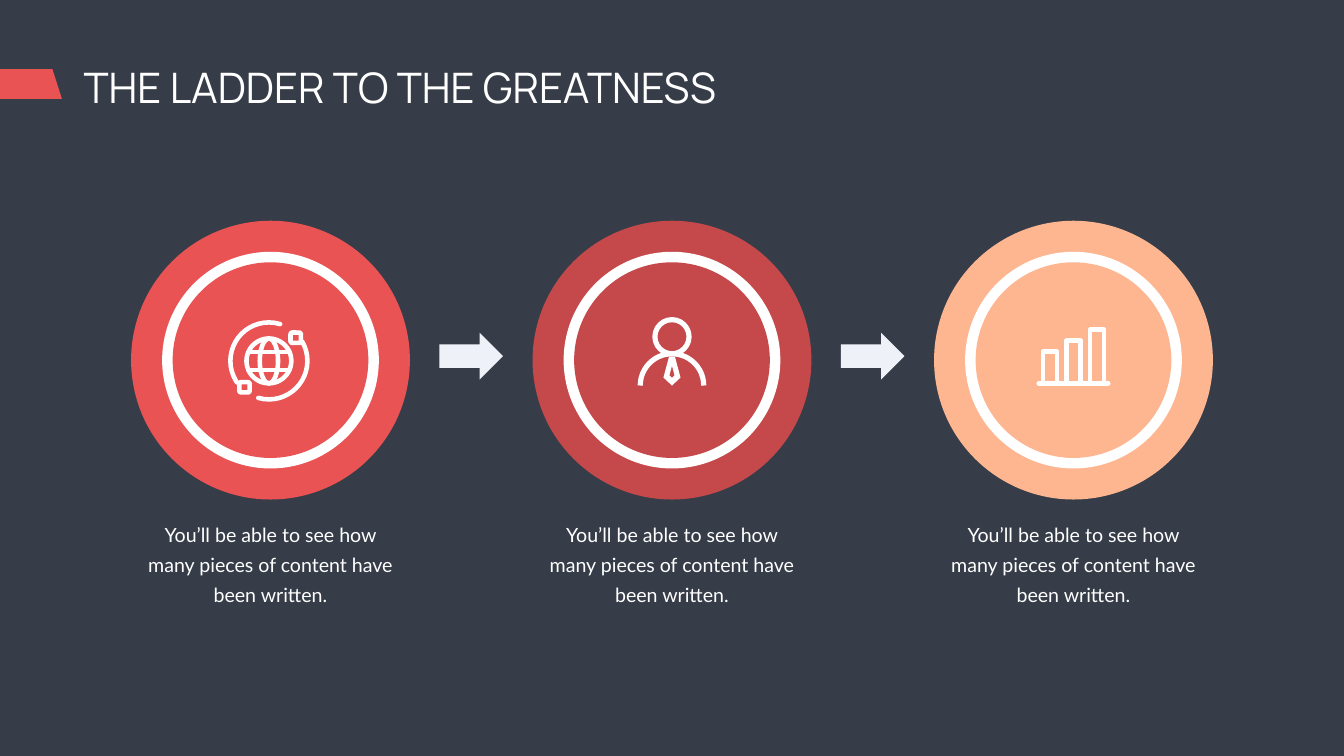
from dataclasses import dataclass

from lxml import etree
from pptx import Presentation
from pptx.dml.color import RGBColor
from pptx.enum.shapes import MSO_CONNECTOR as Connector, MSO_SHAPE as Shape
from pptx.enum.text import MSO_ANCHOR as Anchor, MSO_AUTO_SIZE as AutoSize, PP_ALIGN as Align
from pptx.oxml.ns import qn
from pptx.util import Cm, Pt


@dataclass(frozen=True)
class Theme:
    background: str = "363D48"
    coral: str = "E95354"
    brick: str = "C5494B"
    peach: str = "FEB691"
    white: str = "FFFFFF"
    arrow: str = "EFF1F8"
    title_font: str = "Manrope"
    body_font: str = "Lato"
    title_size: int = 60
    body_size: int = 28
    body_leading: int = 43


class Deck:
    """Draws on the current slide; all lengths are in centimetres."""

    def __init__(self, theme, width, height):
        self.theme = theme
        self.presentation = Presentation()
        self.presentation.slide_width = Cm(width)
        self.presentation.slide_height = Cm(height)
        self.slide = None

    def new_slide(self):
        self.slide = self.presentation.slides.add_slide(self.presentation.slide_layouts[5])
        self.fill(self.slide.background, self.theme.background)

    def fill(self, part, color):
        part.fill.solid()
        part.fill.fore_color.rgb = RGBColor.from_string(color)

    def set_text(self, frame, text, font, size, align):
        frame.text = text
        frame.word_wrap = True
        frame.auto_size = AutoSize.NONE
        frame.vertical_anchor = Anchor.TOP
        paragraph = frame.paragraphs[0]
        paragraph.alignment = align
        paragraph.font.name = font
        paragraph.font.size = Pt(size)
        paragraph.font.color.rgb = RGBColor.from_string(self.theme.white)
        return paragraph

    def title(self, text, left, top, width, height):
        heading = self.slide.shapes.title
        heading.left, heading.top = Cm(left), Cm(top)
        heading.width, heading.height = Cm(width), Cm(height)
        self.set_text(heading.text_frame, text, self.theme.title_font, self.theme.title_size, Align.LEFT)

    def caption(self, text, left, top, width, height):
        box = self.slide.shapes.add_textbox(Cm(left), Cm(top), Cm(width), Cm(height))
        frame = box.text_frame
        frame.margin_left = frame.margin_right = Cm(0.61)
        frame.margin_top = frame.margin_bottom = Cm(0.3)
        paragraph = self.set_text(frame, text, self.theme.body_font, self.theme.body_size, Align.CENTER)
        paragraph.line_spacing = Pt(self.theme.body_leading)

    def centred(self, kind, x, y, width, height):
        shape = self.slide.shapes.add_shape(
            kind, Cm(x - width / 2), Cm(y - height / 2), Cm(width), Cm(height))
        shape.shadow.inherit = False
        return shape

    def solid(self, kind, x, y, width, height, color):
        shape = self.centred(kind, x, y, width, height)
        self.fill(shape, color)
        shape.line.fill.background()

    def stroke(self, line, weight, rounded):
        line.width = Cm(weight)
        line.color.rgb = RGBColor.from_string(self.theme.white)
        if rounded:
            line._get_or_add_ln().set("cap", "rnd")

    def outline(self, kind, x, y, width, height, weight=0.23):
        shape = self.centred(kind, x, y, width, height)
        shape.fill.background()
        self.stroke(shape.line, weight, False)
        return shape

    def arc(self, x, y, radius, start, end, weight=0.23, rounded=True):
        """Draw clockwise between two angles in degrees, 0 pointing right."""
        shape = self.outline(Shape.ARC, x, y, 2 * radius, 2 * radius, weight)
        # Angles are stored in 60000ths of a degree, adjustments in 100000ths.
        shape.adjustments[0], shape.adjustments[1] = start * 0.6, end * 0.6
        self.stroke(shape.line, weight, rounded)

    def rule(self, x, y, half_length, weight=0.23):
        line = self.slide.shapes.add_connector(
            Connector.STRAIGHT, Cm(x - half_length), Cm(y), Cm(x + half_length), Cm(y))
        self.stroke(line.line, weight, True)
        etree.SubElement(line._element.spPr, qn("a:effectLst"))

    def polygon(self, x, y, contours, color):
        """Fill closed contours placed around (x, y); inner ones become holes."""
        builder = None
        for contour in contours:
            points = [(Cm(x + dx), Cm(y + dy)) for dx, dy in contour]
            if builder is None:
                builder = self.slide.shapes.build_freeform(*points[0], scale=1.0)
            else:
                builder.move_to(*points[0])
            builder.add_line_segments(points[1:], close=True)
        shape = builder.convert_to_shape()
        shape.shadow.inherit = False
        self.fill(shape, color)
        shape.line.fill.background()

    def medallion(self, x, y, color):
        for diameter, tone in ((14.05, color), (10.92, self.theme.white), (9.86, color)):
            self.solid(Shape.OVAL, x, y, diameter, diameter, tone)

    def globe_icon(self, x, y):
        x, y = x - 0.08, y + 0.04
        for width in (2.26, 0.92):
            self.outline(Shape.OVAL, x, y, width, 2.26)
        for dy in (-0.46, 0.46):
            self.rule(x, y + dy, 1.03)
        for start, end in ((330, 106), (146, 287)):
            self.arc(x, y, 1.94, start, end)
        for dx, dy in ((1.35, -1.17), (-1.23, 1.33)):
            self.outline(Shape.ROUNDED_RECTANGLE, x + dx, y + dy, 0.52, 0.52)

    def person_icon(self, x, y):
        self.outline(Shape.OVAL, x, y - 1.18, 1.72, 1.72, 0.26)
        self.arc(x, y + 1.28, 1.6, 180, 0, 0.26, rounded=False)
        tie = [(-0.15, -0.17), (-0.43, 0.88), (0, 1.28), (0.43, 0.88), (0.15, -0.17)]
        knot_gap = [(0, 0.9), (-0.13, 0.77), (0, 0.29), (0.13, 0.77)]
        self.polygon(x, y, [tie, knot_gap], self.theme.white)

    def bars_icon(self, x, y):
        base = y + 1.17
        for step, height in zip((-1, 0, 1), (1.6, 2.16, 2.7)):
            self.outline(Shape.RECTANGLE, x + step * 1.19, base - height / 2, 0.71, height)
        self.rule(x, base, 1.75)


def main():
    theme = Theme()
    deck = Deck(theme, 67.72, 38.1)
    deck.new_slide()
    deck.title("THE LADDER TO THE GREATNESS", 3.96, 2.95, 37.31, 2.82)
    deck.polygon(0, 3.48, [[(2.64, 0), (0, 0), (0, 1.5), (3.12, 1.5)]], theme.coral)

    first_x, pitch, centre_y = 13.63, 20.23, 18.15
    stages = [(theme.coral, deck.globe_icon), (theme.brick, deck.person_icon),
              (theme.peach, deck.bars_icon)]
    for index, (color, draw_icon) in enumerate(stages):
        x = first_x + index * pitch
        deck.medallion(x, centre_y, color)
        draw_icon(x, centre_y)
        deck.caption("You’ll be able to see how many pieces of content have been written.",
                     x - 7.03, 25.7, 14.05, 5.05)
        if index < len(stages) - 1:
            deck.solid(Shape.RIGHT_ARROW, x + pitch / 2, centre_y - 0.2, 3.2, 2.36, theme.arrow)

    deck.presentation.save("out.pptx")


if __name__ == "__main__":
    main()
